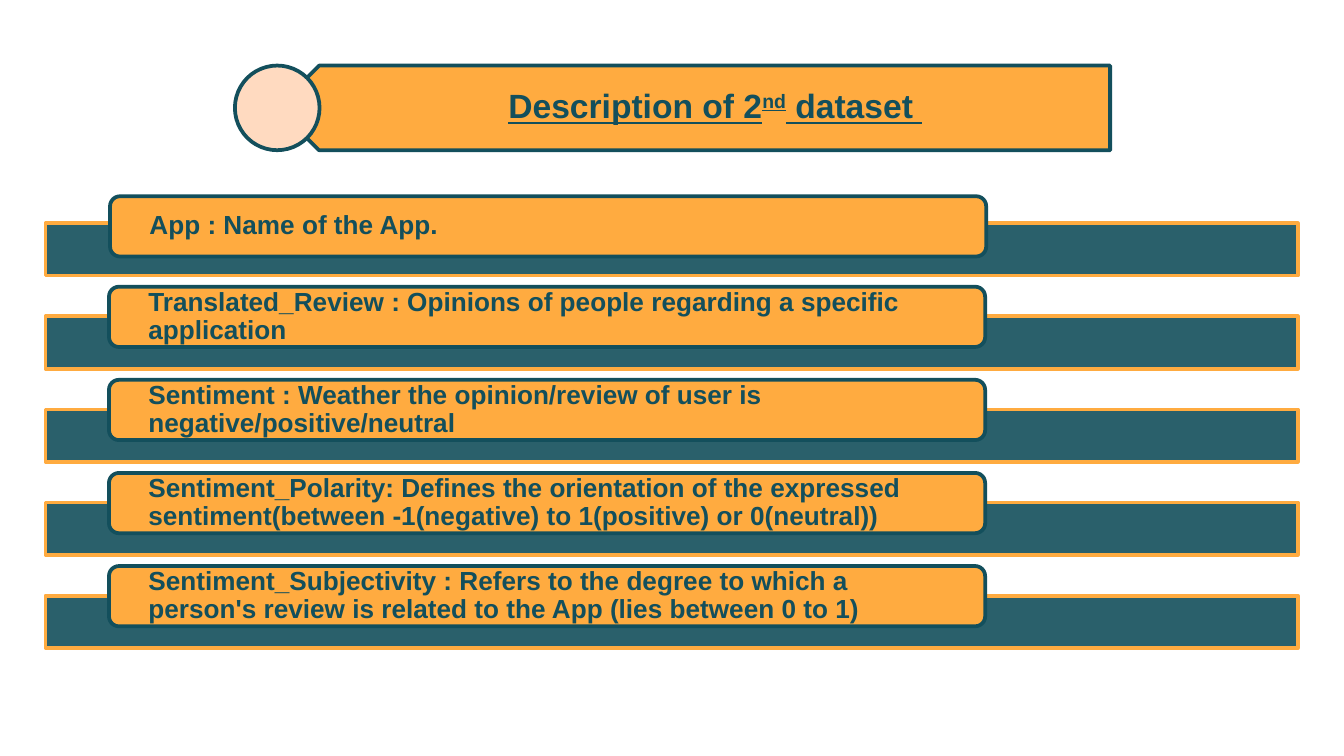
"""Build the slide that describes the columns of the second dataset."""
from lxml import etree
from pptx import Presentation
from pptx.dml.color import RGBColor
from pptx.enum.shapes import MSO_SHAPE as SHAPE
from pptx.enum.text import MSO_ANCHOR as ANCHOR, MSO_AUTO_SIZE as FIT, PP_ALIGN as ALIGN
from pptx.oxml.ns import qn
from pptx.util import Cm, Pt

COLORS = {"teal": "134F5C", "orange": "FFAB40", "peach": "FFDAC0"}
FONT = {"name": "Arial", "bold": True}
COLUMNS = [
    ("App : Name of the App.", 2.08, 3.71),
    ("Translated_Review : Opinions of people regarding a specific application", 2.06, 5.42),
    ("Sentiment : Weather the opinion/review of user is negative/positive/neutral", 2.06, 7.18),
    ("Sentiment_Polarity: Defines the orientation of the expressed "
     "sentiment(between -1(negative) to 1(positive) or 0(neutral))", 2.06, 8.94),
    ("Sentiment_Subjectivity : Refers to the degree to which a "
     "person's review is related to the App (lies between 0 to 1)", 2.06, 10.7),
]


def add_box(kind, box, fill, line):
    sp = s.shapes.add_shape(kind, *map(Cm, box))
    sp.shadow.inherit = False
    sp.fill.solid()
    sp.fill.fore_color.rgb = RGBColor.from_string(COLORS[fill])
    sp.line.color.rgb = RGBColor.from_string(COLORS[line])
    sp.line.width = Pt(2)
    return sp


def write(sp, runs, frame, align, font):
    tf = sp.text_frame
    for name, value in frame.items():
        setattr(tf, name, value)
    p = tf.paragraphs[0]
    p.alignment = align
    p.line_spacing = 0.9
    for text in runs:
        r = p.add_run()
        r.text = text
        for name, value in {**FONT, **font}.items():
            setattr(r.font, name, value)
        r.font.color.rgb = RGBColor.from_string(COLORS["teal"])
    return p


prs = Presentation()
prs.slide_width, prs.slide_height = Cm(25.4), Cm(14.29)
s = prs.slides.add_slide(prs.slide_layouts[5])

plate = add_box(SHAPE.PENTAGON, (5.23, 1.24, 15.75, 1.6), "orange", "teal")
plate.rotation = 180

title = s.shapes.title
title.left, title.top, title.width, title.height = map(Cm, (5.61, 1.24, 15.34, 1.6))
s.shapes._spTree.append(title._element)
frame = {"word_wrap": True, "auto_size": FIT.NONE, "vertical_anchor": ANCHOR.MIDDLE,
         "margin_left": Cm(0.71), "margin_right": Cm(0.23),
         "margin_top": Cm(0.13), "margin_bottom": Cm(0.13)}
p = write(title, ["Description of 2", "nd", " dataset "], frame, ALIGN.CENTER,
          {"size": Pt(18), "underline": True})
p.runs[1].font._element.set("baseline", "30000")

add_box(SHAPE.OVAL, (4.44, 1.24, 1.6, 1.6), "peach", "teal")

frame = {"word_wrap": True, "vertical_anchor": ANCHOR.MIDDLE,
         "margin_left": Cm(0.69), "margin_right": Cm(0.69),
         "margin_top": 0, "margin_bottom": 0}
for i, (text, left, top) in enumerate(COLUMNS):
    bar = add_box(SHAPE.RECTANGLE, (0.86, 4.22 + 1.76 * i, 23.67, 0.99), "teal", "orange")
    color = bar.fill._xPr.find(qn("a:solidFill"))[0]
    etree.SubElement(color, qn("a:alpha")).set("val", "90000")
    card = add_box(SHAPE.ROUNDED_RECTANGLE, (left, top, 16.56, 1.14), "orange", "teal")
    write(card, [text], frame, ALIGN.LEFT, {"size": Pt(14)})

prs.save("out.pptx")
